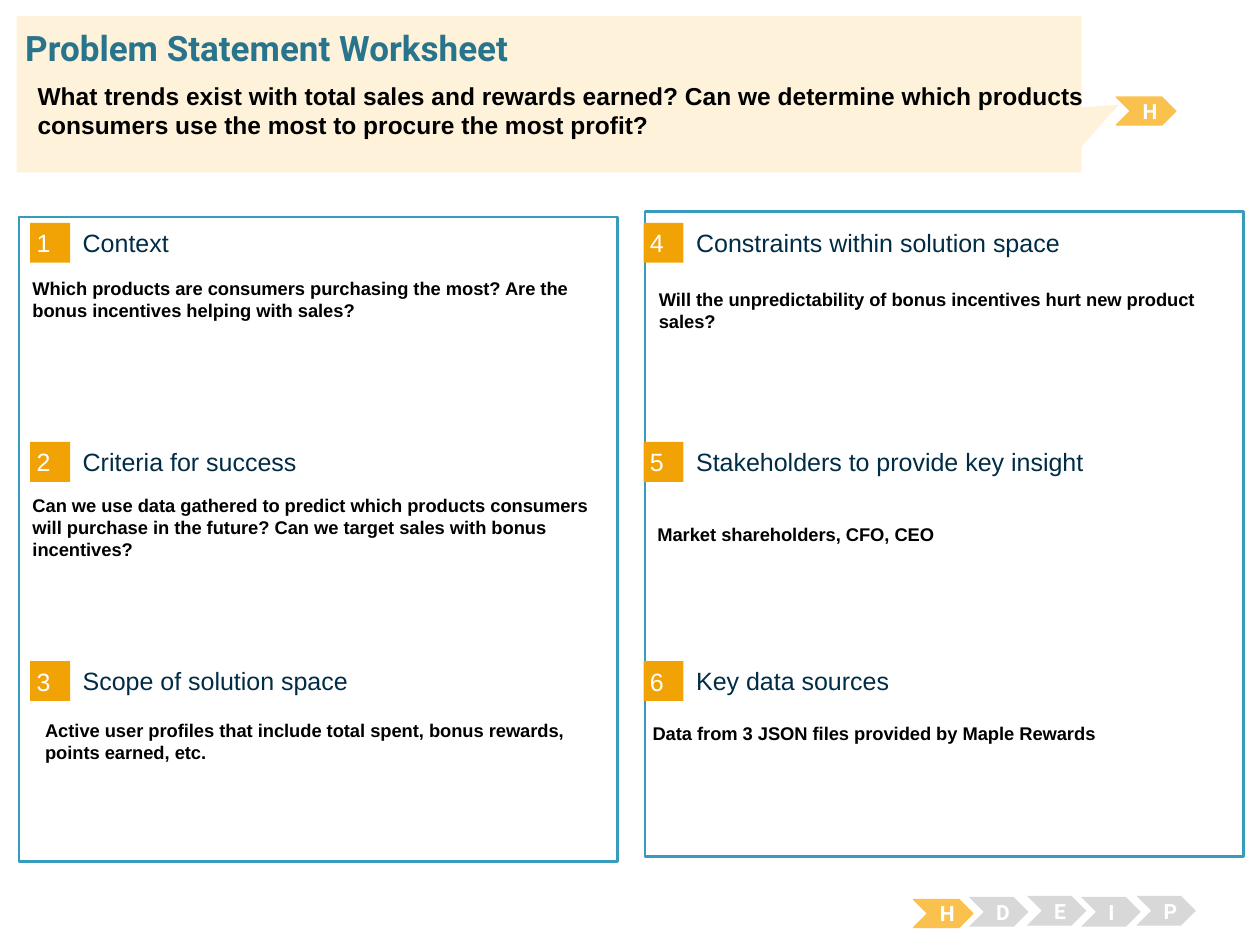
from dataclasses import dataclass

from pptx import Presentation
from pptx.dml.color import RGBColor
from pptx.enum.shapes import MSO_SHAPE
from pptx.enum.text import MSO_ANCHOR, MSO_AUTO_SIZE, PP_ALIGN
from pptx.util import Pt

RECT, CHEVRON = MSO_SHAPE.RECTANGLE, MSO_SHAPE.CHEVRON
CALLOUT = MSO_SHAPE.RECTANGULAR_CALLOUT
TOP, MIDDLE = MSO_ANCHOR.TOP, MSO_ANCHOR.MIDDLE
LEFT, CENTER = PP_ALIGN.LEFT, PP_ALIGN.CENTER
NO_FIT = MSO_AUTO_SIZE.NONE


@dataclass(frozen=True)
class Theme:
    """Colours, fonts and type sizes."""
    white: str = "FFFFFF"
    black: str = "000000"
    navy: str = "002C46"
    teal: str = "29748D"
    blue: str = "379BBD"
    orange: str = "F1A205"
    gold: str = "FBC14E"
    cream: str = "FEF2DA"
    gray: str = "D8D8D8"
    body: str = "Arial"
    head: str = "Roboto"
    title: float = 20
    lead: float = 14
    label: float = 14.3
    note: float = 10.5
    step: float = 12


def apply(target, values):
    """Set each attribute named in a dict."""
    for name, value in values.items():
        setattr(target, name, value)


class Sheet:
    """Draws styled elements on one slide."""

    def __init__(self, slide, theme):
        """Keep the slide and the style."""
        self.slide, self.theme = slide, theme

    def fill_in(self, shape, text, size, color, bold=False, font=None,
                pad=(7.2, 3.6), anchor=TOP, align=LEFT):
        """Put one formatted paragraph in a shape."""
        frame = shape.text_frame
        side, edge = Pt(pad[0]), Pt(pad[1])
        apply(frame, dict(text=text, word_wrap=True, auto_size=NO_FIT,
                          vertical_anchor=anchor, margin_left=side,
                          margin_right=side, margin_top=edge,
                          margin_bottom=edge))
        para = frame.paragraphs[0]
        para.alignment = align
        face = para.runs[0].font
        apply(face, dict(size=Pt(size), bold=bold,
                         name=font or self.theme.body))
        face.color.rgb = RGBColor.from_string(color)

    def shape(self, kind, box, fill, line=None, width=0.75):
        """Add a flat preset shape."""
        shape = self.slide.shapes.add_shape(kind, *map(Pt, box))
        shape.shadow.inherit = False
        shape.fill.solid()
        shape.fill.fore_color.rgb = RGBColor.from_string(fill)
        if line:
            shape.line.color.rgb = RGBColor.from_string(line)
            shape.line.width = Pt(width)
        else:
            shape.line.fill.background()
        return shape

    def text(self, box, *args, **style):
        """Add a text box."""
        self.fill_in(self.slide.shapes.add_textbox(*map(Pt, box)),
                     *args, **style)

    def title(self, box, text):
        """Place the title in front of everything drawn so far."""
        title = self.slide.shapes.title
        apply(title, dict(zip(("left", "top", "width", "height"),
                              map(Pt, box))))
        self.fill_in(title, text, self.theme.title, self.theme.teal, True,
                     self.theme.head, pad=(0, 0))
        self.slide.shapes.element.append(title.element)

    def panel(self, left, top):
        """Add an outlined column."""
        return self.shape(RECT, (left, top, 342, 368.6), self.theme.white,
                          self.theme.blue, 1.5)

    def label(self, left, top, number, text):
        """Add a numbered square and its heading."""
        look = self.theme
        badge = self.shape(RECT, (left, top, 22.8, 22.8), look.orange)
        self.fill_in(badge, str(number), look.label, look.white,
                     pad=(3.6, 3.6), anchor=MIDDLE)
        self.text((left + 30, top + 2.3, 283, 18), text, look.label,
                  look.navy, pad=(0, 0), anchor=MIDDLE)

    def step(self, left, top, letter, active=False):
        """Add a lettered chevron."""
        look = self.theme
        fill, line, tall = ((look.gold, look.gold, 16) if active
                            else (look.gray, None, 17))
        arrow = self.shape(CHEVRON, (left, top, 34, tall), fill, line)
        self.fill_in(arrow, letter, look.step, look.white, True, look.head,
                     anchor=MIDDLE, align=CENTER)


LABELS = ("Context", "Criteria for success", "Scope of solution space",
          "Constraints within solution space",
          "Stakeholders to provide key insight", "Key data sources")
NOTES = (
    (11.5, 154.8, 98, "Which products are consumers purchasing the most? "
     "Are the bonus incentives helping with sales?"),
    (11.5, 278.6, 111, "Can we use data gathered to predict which products "
     "consumers will purchase in the future? Can we target sales with bonus "
     "incentives?"),
    (18.7, 407.5, 59, "Active user profiles that include total spent, bonus "
     "rewards, points earned, etc."),
    (369.4, 161.3, 85, "Will the unpredictability of bonus incentives hurt "
     "new product sales?"),
    (365.8, 409, 85, "Data from 3 JSON files provided by Maple Rewards"),
)
STEPS = (("D", 553.7, 512.6), ("E", 586.8, 511.9),
         ("I", 617.8, 512.6), ("P", 649.4, 511.9))


def main():
    """Build and save the worksheet."""
    deck = Presentation()
    apply(deck, dict(slide_width=Pt(720), slide_height=Pt(540)))
    look = Theme()
    sheet = Sheet(deck.slides.add_slide(deck.slide_layouts[5]), look)

    sheet.panel(10.8, 123.9)
    sheet.fill_in(sheet.panel(368.6, 120.8), "Market shareholders, CFO, CEO",
                  look.note, look.black, True, anchor=MIDDLE)
    for i, name in enumerate(LABELS):
        col, row = divmod(i, 3)
        sheet.label(17.3 + 350.5 * col, 127.4 + 125.2 * row, i + 1, name)
    for left, top, tall, text in NOTES:
        sheet.text((left, top, 340.6, tall), text, look.note, look.black,
                   True)

    sheet.step(522, 514, "H", True)
    for letter, left, top in STEPS:
        sheet.step(left, top, letter)
    sheet.step(637.9, 55.5, "H", True)

    banner = sheet.shape(CALLOUT, (9.5, 9.3, 608.5, 89.3), look.cream)
    banner.adjustments[0], banner.adjustments[1] = 0.535, 0.066
    sheet.title((14.4, 15.1, 692.6, 24.5), "Problem Statement Worksheet")
    sheet.text((14.4, 42.5, 676, 39), "What trends exist with total sales "
               "and rewards earned? Can we determine which products "
               "consumers use the most to procure the most profit?",
               look.lead, look.black, True)
    deck.save("out.pptx")


main()
